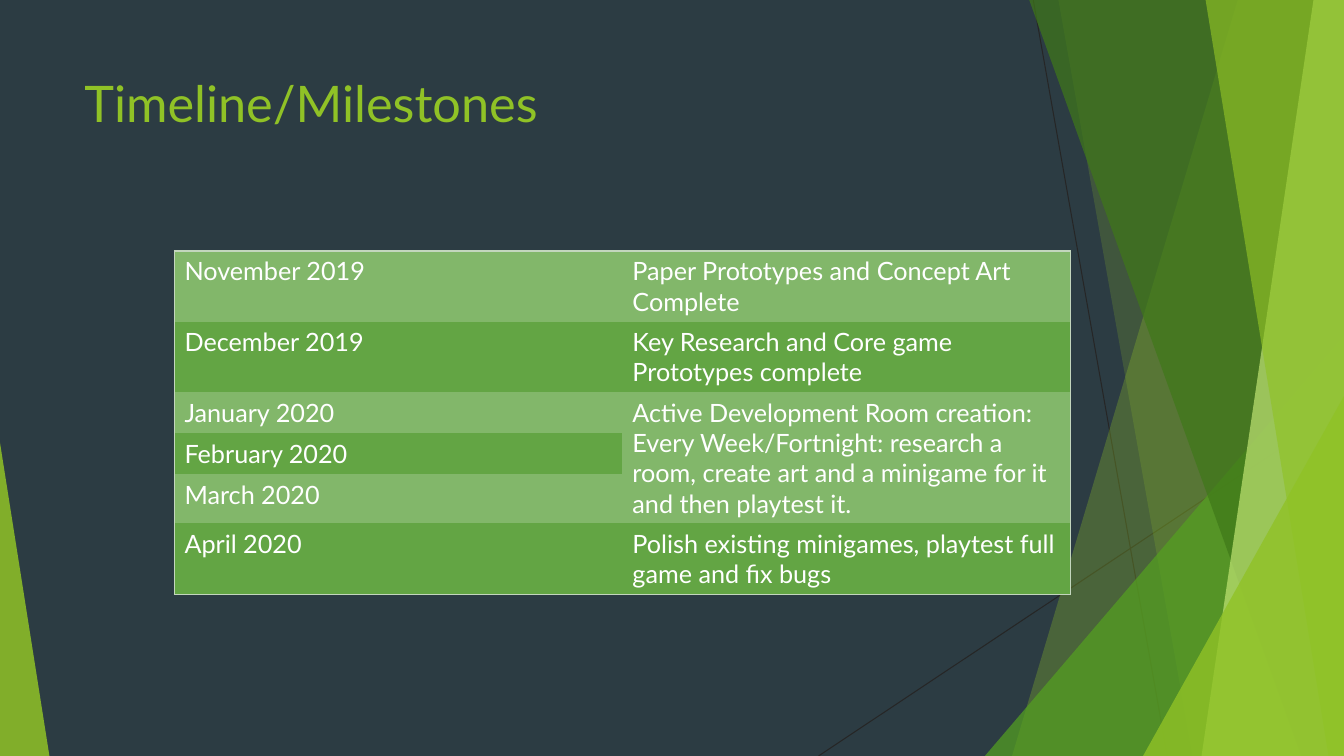
"""Build a dark slide with green facets and a table of project milestones."""
from itertools import product
from lxml.etree import SubElement as Sub
from pptx import Presentation
from pptx.dml.color import RGBColor as RGB
from pptx.enum.shapes import MSO_CONNECTOR as LINK, MSO_SHAPE as FORM
from pptx.enum.text import MSO_ANCHOR as ANCHOR
from pptx.oxml import parse_xml
from pptx.oxml.ns import nsdecls, qn
from pptx.util import Inches, Pt

HUE = {
    "night": "2C3C43", "ink": "262626", "lime": "90C226", "leaf": "54A021",
    "moss": "3F7819", "pale": "C0E474", "white": "FFFFFF", "edge": "C3D6BD",
    "light": "82B76A", "dark": "63A544",
}
BODY = {"name": "Lato", "size": Pt(18), "bold": False}
HEAD = {**BODY, "size": Pt(36)}

deck = Presentation()
deck.slide_width, deck.slide_height = Inches(13.33), Inches(7.5)
col, row = deck.slide_width / 100, deck.slide_height / 100
slide = deck.slides.add_slide(deck.slide_layouts[6])
shapes = slide.shapes
back = slide.background.fill
back.solid()
back.fore_color.rgb = RGB.from_string(HUE["night"])


def grid(*spots):
    """Turn percent pairs of the slide into lengths."""
    return [int(n * unit) for pair in spots for n, unit in zip(pair, (col, row))]


def write(frame, text, style, hue):
    """Fill a text frame and format every paragraph."""
    frame.text = text
    frame.word_wrap = True
    for para in frame.paragraphs:
        for key, value in style.items():
            setattr(para.font, key, value)
        para.font.color.rgb = RGB.from_string(HUE[hue])


for start, end in [((76.88, 0), (86.85, 100)), ((100, 53.73), (60.9, 100))]:
    line = shapes.add_connector(LINK.STRAIGHT, *grid(start, end))
    line.line.width = Pt(0.75)
    line.line.color.rgb = RGB.from_string(HUE["ink"])
    Sub(line._element.spPr, qn("a:effectLst"))

facets = [
    ("band", (92.1, 75.3), "lime", 30),
    ("band", (78.75, 88.73), "lime", 20),
    ("peak", (73.28, 44.4, 26.72, 1), "leaf", 72),
    ("band", (76.58, 96.83), "moss", 70),
    ("band", (97.73, 89.4), "pale", 70),
    ("band", (89.7, 98.85), "lime", 65),
    ("peak", (85.05, 52.4, 14.95, 1), "lime", 80),
    ("peak", (0, 58.53, 3.68, 0), "lime", 85),
]
for kind, spot, hue, alpha in facets:
    if kind == "band":
        top, foot = spot
        pen = shapes.build_freeform(*grid((top, 0)))
        pen.add_line_segments([grid(p) for p in [(100, 0), (100, 100), (foot, 100)]])
        facet = pen.convert_to_shape()
    else:
        left, top, wide, tip = spot
        facet = shapes.add_shape(FORM.ISOSCELES_TRIANGLE, *grid((left, top), (wide, 100 - top)))
        facet.adjustments[0] = tip
    facet.shadow.inherit = False
    facet.line.fill.background()
    facet.fill.solid()
    facet.fill.fore_color.rgb = RGB.from_string(HUE[hue])
    tint = facet._element.spPr.find(qn("a:solidFill"))[0]
    Sub(tint, qn("a:alpha"), val=str(alpha * 1000))

title = shapes.add_textbox(*grid((5.55, 8.93), (70.5, 19.2))).text_frame
write(title, "Timeline/Milestones", HEAD, "lime")
title.vertical_anchor = ANCHOR.TOP

plan = [
    ("November 2019", "Paper Prototypes and Concept Art Complete", 9.35),
    ("December 2019", "Key Research and Core game Prototypes complete", 9.35),
    ("January 2020", "Active Development Room creation:\nEvery Week/Fortnight: research a room, "
     "create art and a minigame for it and then playtest it.", 5.42),
    ("February 2020", "", 5.42),
    ("March 2020", "", 6.48),
    ("April 2020", "Polish existing minigames, playtest full game and fix bugs", 9.35),
]
last = len(plan) - 1
tall = sum(high for *_, high in plan)
table = shapes.add_table(len(plan), 2, *grid((12.98, 33.2), (66.66, tall))).table
table.first_row = table.horz_banding = False
for line, (*_, high) in zip(table.rows, plan):
    line.height = int(high * row)
for r, c in product(range(len(plan)), range(2)):
    cell = table.cell(r, c)
    write(cell.text_frame, plan[r][c], BODY, "white")
    cell.fill.solid()
    cell.fill.fore_color.rgb = RGB.from_string(HUE["dark" if r % 2 else "light"])
    outer = {"lnL": c == 0, "lnR": c == 1, "lnT": r == 0, "lnB": r == last}
    for n, (tag, shown) in enumerate(outer.items()):
        paint = f'<a:solidFill><a:srgbClr val="{HUE["edge"]}"/></a:solidFill>' if shown else "<a:noFill/>"
        side = parse_xml(f'<a:{tag} {nsdecls("a")} w="{Pt(1)}">{paint}</a:{tag}>')
        cell._tc.get_or_add_tcPr().insert(n, side)
table.cell(2, 1).merge(table.cell(4, 1))

deck.save("out.pptx")
